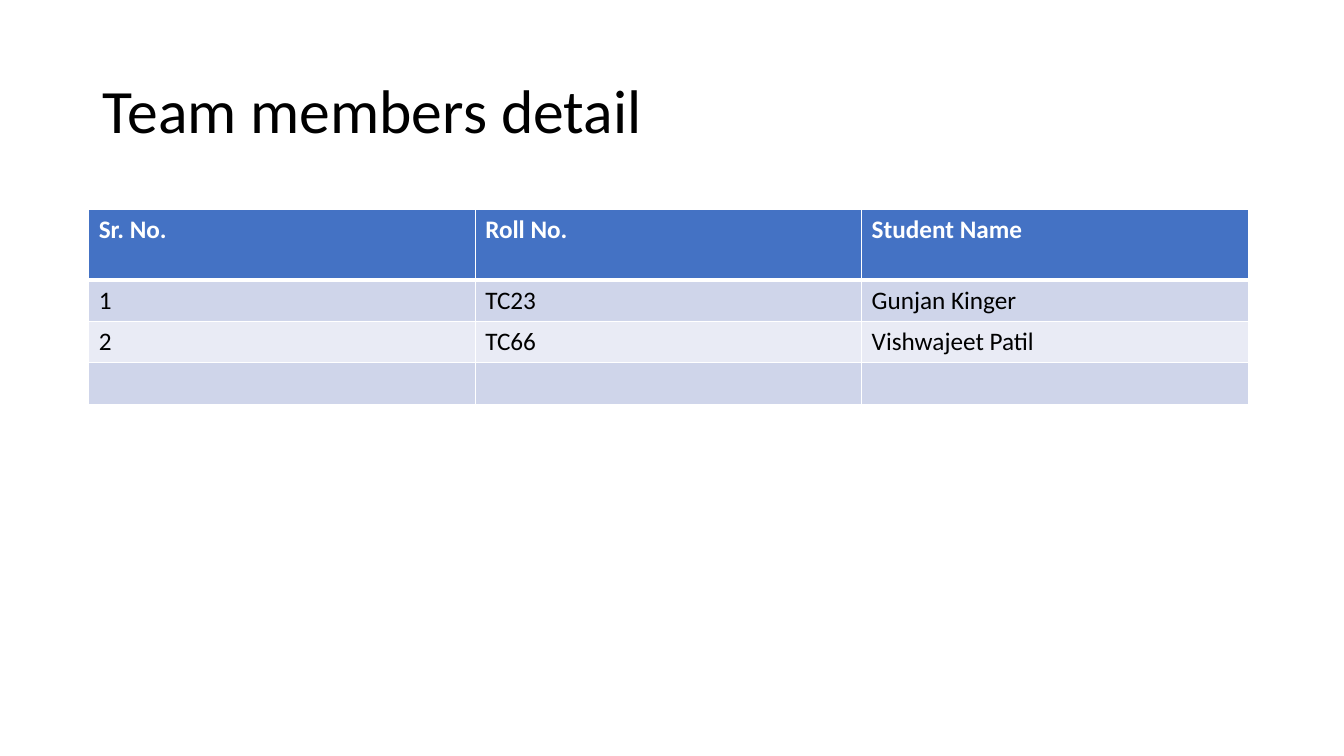
from dataclasses import dataclass

from lxml.etree import SubElement
from pptx import Presentation
from pptx.dml.color import RGBColor
from pptx.enum.text import MSO_ANCHOR, PP_ALIGN
from pptx.oxml.ns import qn
from pptx.util import Inches, Pt

COLORS = {
    "header": "4472C4",
    "odd": "CFD5EA",
    "even": "E9EBF5",
    "white": "FFFFFF",
    "black": "000000",
}
FONT = "Calibri"
COLUMN_WIDTH = 11.5 / 3


@dataclass(frozen=True)
class MemberRow:
    texts: tuple[str, str, str]
    fill: str
    height: float = 0.41
    color: str = "black"
    bold: bool = False
    bottom_width: float = 1


MEMBER_ROWS = (
    MemberRow(("Sr. No.", "Roll No.", "Student Name"), "header", 0.7, "white", True, 3),
    MemberRow(("1", "TC23", "Gunjan Kinger"), "odd"),
    MemberRow(("2", "TC66", "Vishwajeet Patil"), "even"),
    MemberRow(("", "", ""), "odd"),
)


def set_values(target, values: dict) -> None:
    for name, value in values.items():
        setattr(target, name, value)


def write_text(paragraph, text: str, size: float, color: str, bold: bool) -> None:
    run = paragraph.add_run()
    run.text = text
    set_values(run.font, {"name": FONT, "size": Pt(size), "bold": bold})
    run.font.color.rgb = RGBColor.from_string(COLORS[color])


def draw_borders(cell, top_width: float, bottom_width: float) -> None:
    properties = cell._tc.get_or_add_tcPr()
    widths = {"lnL": 1, "lnR": 1, "lnT": top_width, "lnB": bottom_width}
    for side, width in widths.items():
        line = SubElement(properties, qn(f"a:{side}"), w=str(Pt(width)))
        fill = SubElement(line, qn("a:solidFill"))
        SubElement(fill, qn("a:srgbClr"), val=COLORS["white"])


def draw_title(slide) -> None:
    title = slide.shapes.title
    set_values(title, {
        "left": Inches(0.92),
        "top": Inches(0.4),
        "width": Inches(11.5),
        "height": Inches(1.45),
    })
    set_values(title.text_frame, {"vertical_anchor": MSO_ANCHOR.MIDDLE, "word_wrap": True})
    paragraph = title.text_frame.paragraphs[0]
    set_values(paragraph, {"alignment": PP_ALIGN.LEFT, "line_spacing": 0.9})
    write_text(paragraph, "Team members detail", 44, "black", False)


def draw_members(slide, rows: tuple[MemberRow, ...]) -> None:
    table = slide.shapes.add_table(
        len(rows), len(rows[0].texts), Inches(0.88), Inches(2.08),
        Inches(11.5), Inches(sum(row.height for row in rows)),
    ).table
    for column in table.columns:
        column.width = Inches(COLUMN_WIDTH)
    top_width = 1
    for row_index, row in enumerate(rows):
        table.rows[row_index].height = Inches(row.height)
        for column_index, text in enumerate(row.texts):
            cell = table.cell(row_index, column_index)
            draw_borders(cell, top_width, row.bottom_width)
            cell.fill.solid()
            cell.fill.fore_color.rgb = RGBColor.from_string(COLORS[row.fill])
            if text:
                write_text(cell.text_frame.paragraphs[0], text, 18, row.color, row.bold)
        top_width = row.bottom_width


def main() -> None:
    presentation = Presentation()
    set_values(presentation, {"slide_width": Inches(13.33), "slide_height": Inches(7.5)})
    slide = presentation.slides.add_slide(presentation.slide_layouts[5])
    draw_title(slide)
    draw_members(slide, MEMBER_ROWS)
    presentation.save("out.pptx")


if __name__ == "__main__":
    main()
